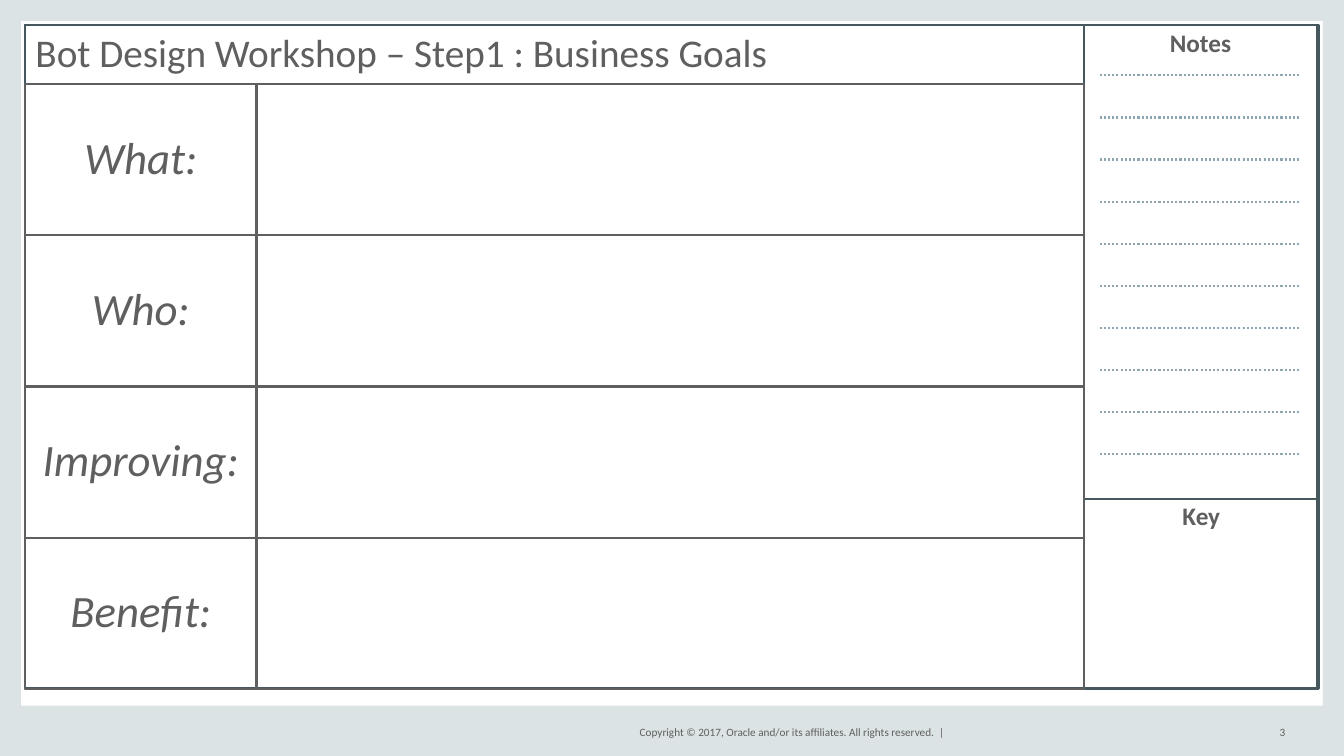
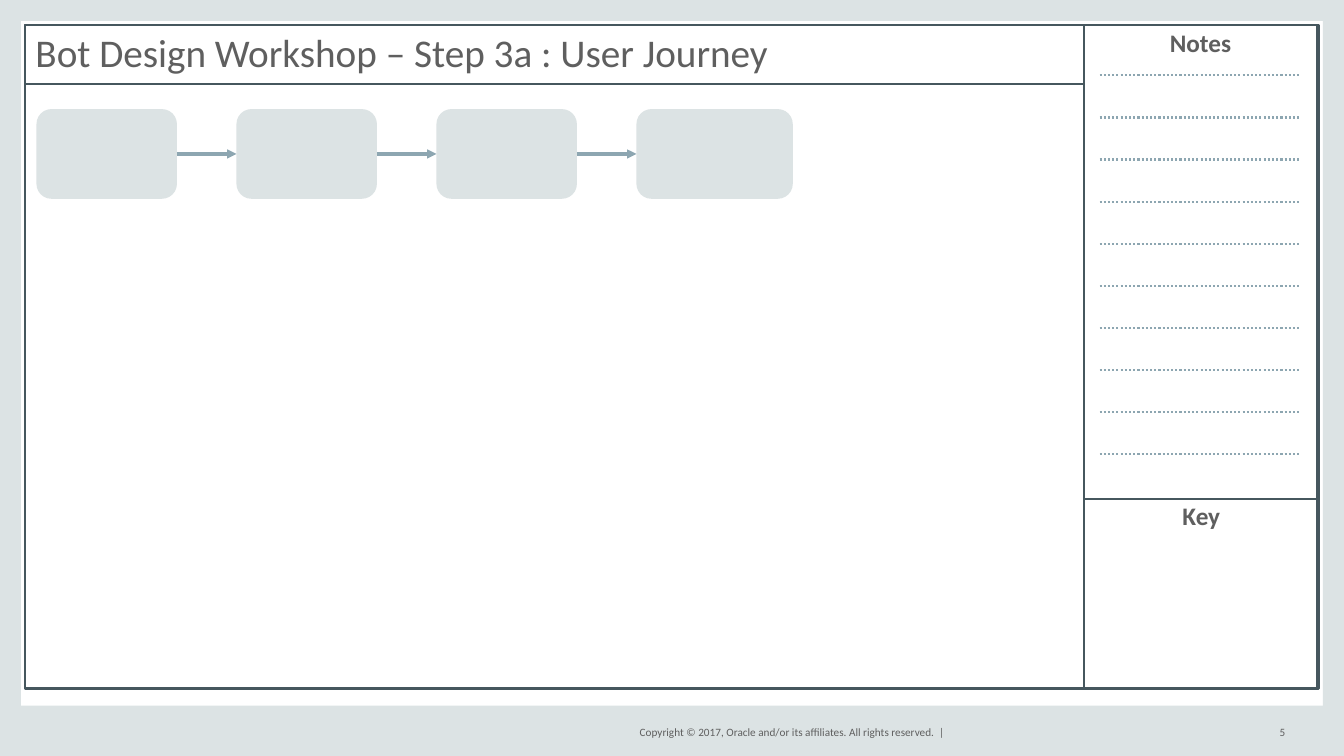
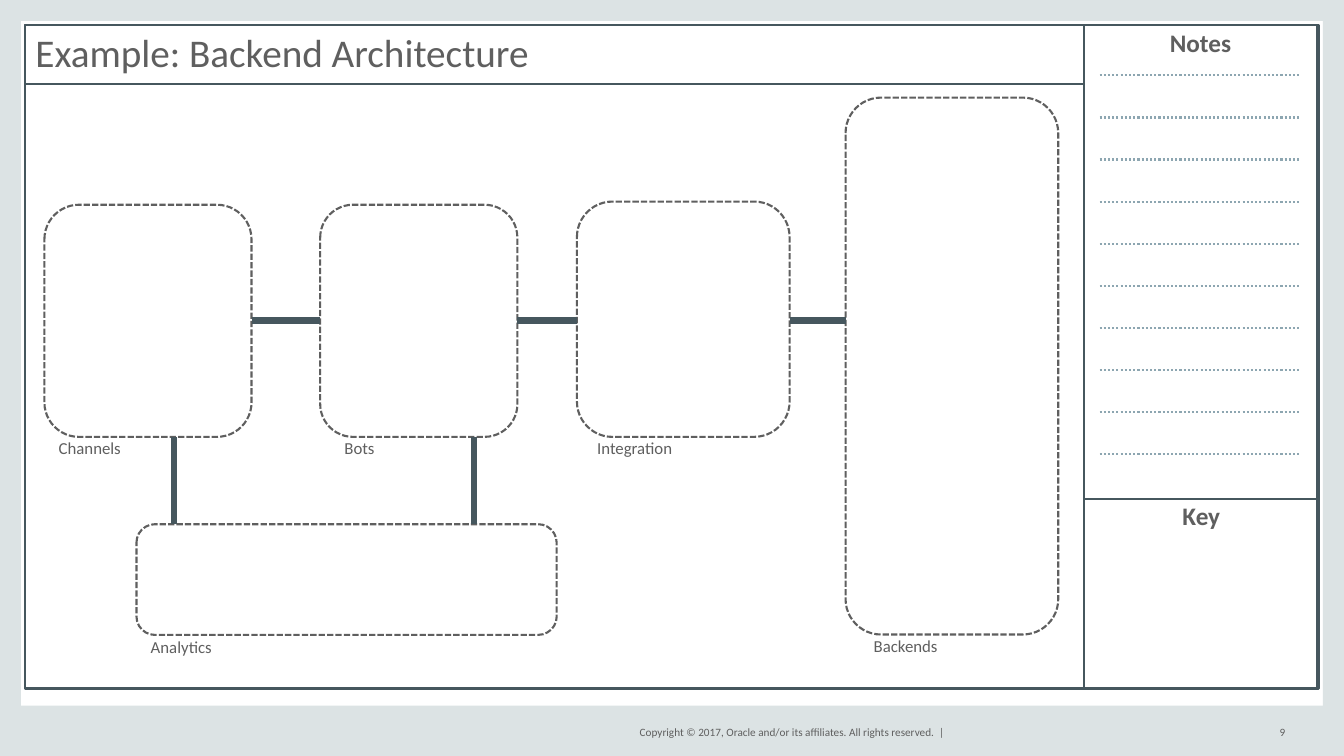
"""Build three worksheet slides of a bot design workshop."""
from itertools import pairwise

from lxml.etree import SubElement
from pptx import Presentation
from pptx.dml.color import RGBColor
from pptx.enum.dml import MSO_LINE
from pptx.enum.shapes import MSO_CONNECTOR, MSO_SHAPE
from pptx.enum.text import MSO_ANCHOR, MSO_AUTO_SIZE, PP_ALIGN
from pptx.oxml.ns import qn
from pptx.util import Cm, Pt

GREY, SLATE, STEEL, MIST = "5F5F5F", "46575E", "8DA6B1", "DCE3E4"
FONT = "Calibri"
WIDTH, HEIGHT = 33.87, 19.05

BANDS = [(0, 0, 0.53, HEIGHT), (33.34, 0, 0.53, HEIGHT),
         (0, 17.78, WIDTH, 1.27), (0, 0, WIDTH, 0.53)]
COPYRIGHT = "Copyright © 2017, Oracle and/or its affiliates. All rights reserved.  |"
COPYRIGHT_AREA = (14.93, 18.2, 8.89, 0.51)
NUMBER_AREA = (31.32, 18.2, 1.07, 0.51)
FRAME = (0.64, 0.64, 32.59, 16.71)
TITLE_AREA = (0.64, 0.64, 26.67, 1.48)
PANELS = [("Notes", (27.31, 0.64, 5.89, 16.71)), ("Key", (27.33, 12.57, 5.89, 4.78))]
NOTE_LEFT, NOTE_RIGHT, NOTE_TOP, NOTE_PITCH, NOTE_COUNT = 27.71, 32.79, 1.9, 1.06, 10

GOALS = ["What:", "Who:", "Improving:", "Benefit:"]
GOAL_TOP, GOAL_HEIGHT = 2.12, 3.81
GOAL_COLUMNS = [(0.64, 5.82), (6.48, 20.83)]

STEP_WIDTHS = [3.54, 3.54, 3.54, 3.94]
STEP_LEFT, STEP_TOP, STEP_HEIGHT, STEP_GAP = 0.92, 2.75, 2.26, 1.5

TIERS = [("Channels", (1.12, 5.16, 5.22, 5.85), 0.36),
         ("Bots", (8.07, 5.16, 4.97, 5.85), 0.61),
         ("Integration", (14.54, 5.08, 5.36, 5.93), 0.51),
         ("Backends", (21.31, 2.46, 5.36, 13.53), 0.71)]
ANALYTICS = ("Analytics", (3.44, 13.21, 10.59, 2.79), 0.36)
TIER_LINK_Y = 8.08
ANALYTICS_LINKS = [4.39, 11.95]
LABEL_DROP, LABEL_WIDTH, LABEL_HEIGHT = 0.09, 2.54, 0.46


def colour(code):
    """Turn a hex string into a colour."""
    return RGBColor.from_string(code)


def apply(target, values):
    """Set every attribute named in a dict."""
    for key, value in values.items():
        setattr(target, key, value)


def place(area):
    """Turn left, top, width and height into lengths."""
    return [Cm(value) for value in area]


def outline(line, code, points=1.5, dash=None):
    """Format a line."""
    line.color.rgb = colour(code)
    apply(line, {"width": Pt(points), "dash_style": dash})


def write(shape, text, size, align=PP_ALIGN.LEFT, anchor=MSO_ANCHOR.TOP, spacing=0.9, **style):
    """Put one formatted paragraph into a shape."""
    frame = shape.text_frame
    frame.text = text
    apply(frame, {"vertical_anchor": anchor, "word_wrap": True,
                  "auto_size": MSO_AUTO_SIZE.NONE})
    paragraph = frame.paragraphs[0]
    apply(paragraph, {"alignment": align, "line_spacing": spacing})
    apply(paragraph.font, {"name": FONT, "size": Pt(size), **style})
    paragraph.font.color.rgb = colour(GREY)


def add_box(slide, area, fill=None, line=None, dash=None, kind=MSO_SHAPE.RECTANGLE):
    """Add a preset shape with an optional fill and outline."""
    box = slide.shapes.add_shape(kind, *place(area))
    box.shadow.inherit = False
    if fill:
        box.fill.solid()
        box.fill.fore_color.rgb = colour(fill)
    else:
        box.fill.background()
    if line:
        outline(box.line, line, dash=dash)
    else:
        box.line.fill.background()
    return box


def add_line(slide, start, end, code, points=1.5, dash=None, arrow=False):
    """Add a straight line, with an arrowhead at its end on request."""
    ends = [Cm(value) for value in (*start, *end)]
    connector = slide.shapes.add_connector(MSO_CONNECTOR.STRAIGHT, *ends)
    outline(connector.line, code, points, dash)
    properties = connector.element.spPr
    if arrow:
        SubElement(properties.find(qn("a:ln")), qn("a:tailEnd"), type="triangle")
    SubElement(properties, qn("a:effectLst"))


def add_label(slide, area, text, size, **style):
    """Add an unwrapped text box without margins."""
    label = slide.shapes.add_textbox(*place(area))
    write(label, text, size, **style)
    apply(label.text_frame, {"word_wrap": False, "margin_left": 0, "margin_right": 0,
                             "margin_top": 0, "margin_bottom": 0})
    return label


FOOTER_STYLE = {"size": 8, "align": PP_ALIGN.RIGHT, "anchor": MSO_ANCHOR.MIDDLE, "spacing": 1.0}


def dress_layout(layout, slide):
    """Move the bands and the copyright line to the layout."""
    for placeholder in list(layout.placeholders)[1:]:
        placeholder.element.getparent().remove(placeholder.element)
    shared = [add_box(slide, band, fill=MIST) for band in BANDS]
    shared.append(add_label(slide, COPYRIGHT_AREA, COPYRIGHT, **FOOTER_STYLE))
    for part in shared:
        layout.shapes.element.append(part.element)


def add_worksheet(slide, title, number):
    """Add the title, frame, side panels, note lines and page number."""
    heading = slide.shapes.title
    apply(heading, dict(zip(("left", "top", "width", "height"), place(TITLE_AREA))))
    outline(heading.line, SLATE)
    write(heading, title, 28, anchor=MSO_ANCHOR.MIDDLE)
    add_label(slide, NUMBER_AREA, number, **FOOTER_STYLE)
    add_box(slide, FRAME, line=SLATE)
    for name, area in PANELS:
        write(add_box(slide, area, line=SLATE), name, 18, PP_ALIGN.CENTER, bold=True)
    for row in range(NOTE_COUNT):
        y = NOTE_TOP + row * NOTE_PITCH
        add_line(slide, (NOTE_LEFT, y), (NOTE_RIGHT, y), STEEL, dash=MSO_LINE.ROUND_DOT)


def add_goals(slide):
    """Add a labelled row for each goal."""
    for row, goal in enumerate(GOALS):
        top = GOAL_TOP + row * GOAL_HEIGHT
        question, _ = [add_box(slide, (left, top, width, GOAL_HEIGHT), line=GREY)
                       for left, width in GOAL_COLUMNS]
        write(question, goal, 32, PP_ALIGN.CENTER, MSO_ANCHOR.MIDDLE, italic=True)


def add_journey(slide):
    """Add a row of steps joined by arrows."""
    left, middle = STEP_LEFT, STEP_TOP + STEP_HEIGHT / 2
    for index, width in enumerate(STEP_WIDTHS):
        add_box(slide, (left, STEP_TOP, width, STEP_HEIGHT), fill=MIST,
                kind=MSO_SHAPE.ROUNDED_RECTANGLE)
        if index:
            add_line(slide, (left - STEP_GAP, middle), (left, middle), STEEL, 2.25, arrow=True)
        left += width + STEP_GAP


def add_architecture(slide):
    """Add the dashed system areas with their labels and links."""
    for name, area, indent in [*TIERS, ANALYTICS]:
        left, top, _, height = area
        add_box(slide, area, line=GREY, dash=MSO_LINE.SQUARE_DOT,
                kind=MSO_SHAPE.ROUNDED_RECTANGLE)
        add_label(slide, (left + indent, top + height + LABEL_DROP, LABEL_WIDTH, LABEL_HEIGHT),
                  name, 12)
    for (_, tier, _), (_, following, _) in pairwise(TIERS):
        add_line(slide, (tier[0] + tier[2], TIER_LINK_Y), (following[0], TIER_LINK_Y), SLATE, 4.5)
    channels = TIERS[0][1]
    for x in ANALYTICS_LINKS:
        add_line(slide, (x, ANALYTICS[1][1]), (x, channels[1] + channels[3]), SLATE, 4.5)


SLIDES = [("Bot Design Workshop – Step1 : Business Goals", "3", add_goals),
          ("Bot Design Workshop – Step 3a : User Journey", "5", add_journey),
          ("Example: Backend Architecture", "9", add_architecture)]


def main():
    """Build and save the presentation."""
    deck = Presentation()
    apply(deck, {"slide_width": Cm(WIDTH), "slide_height": Cm(HEIGHT)})
    layout = deck.slide_layouts[5]
    for index, (title, number, add_content) in enumerate(SLIDES):
        slide = deck.slides.add_slide(layout)
        if index == 0:
            dress_layout(layout, slide)
        add_worksheet(slide, title, number)
        add_content(slide)
    deck.save("out.pptx")


if __name__ == "__main__":
    main()
